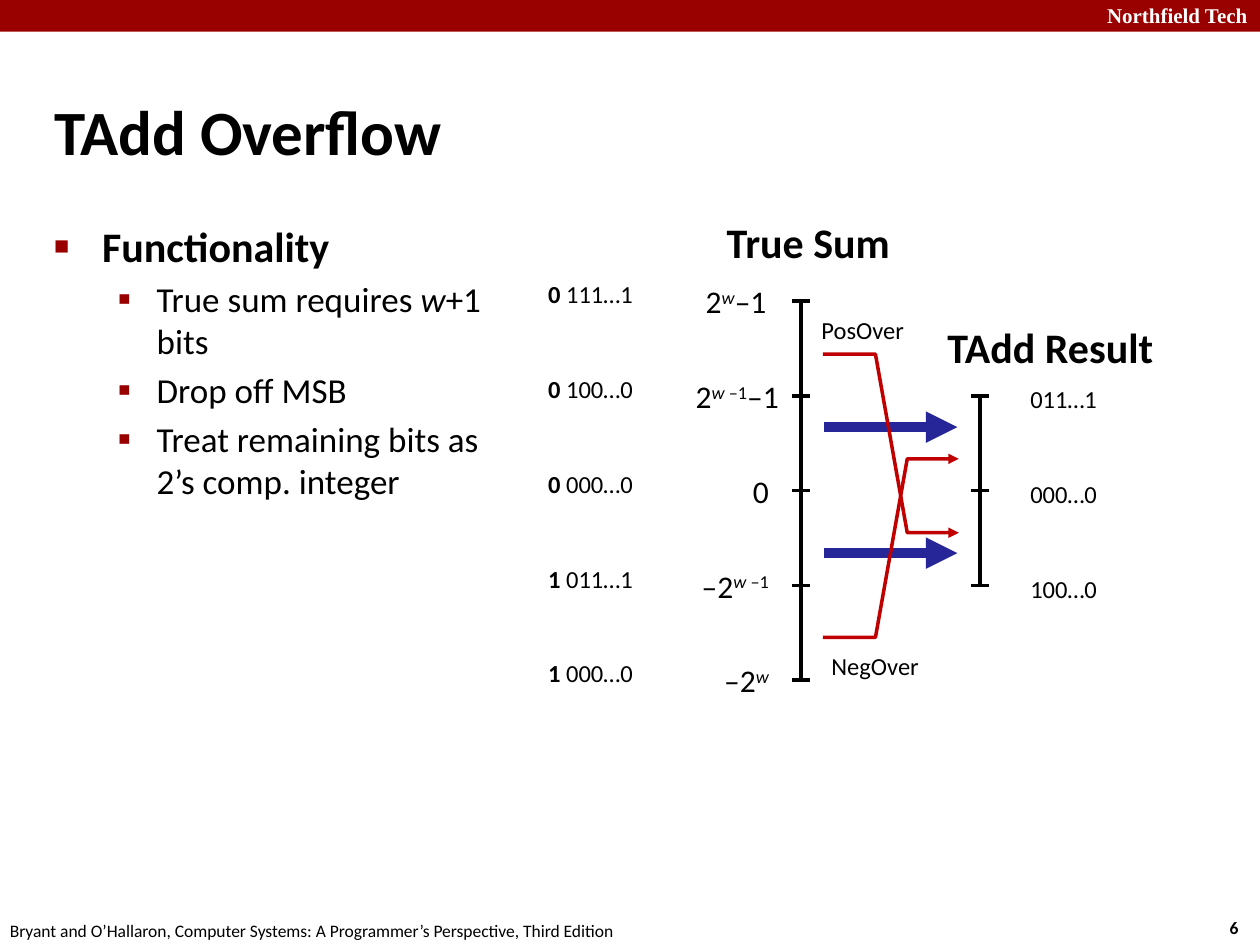
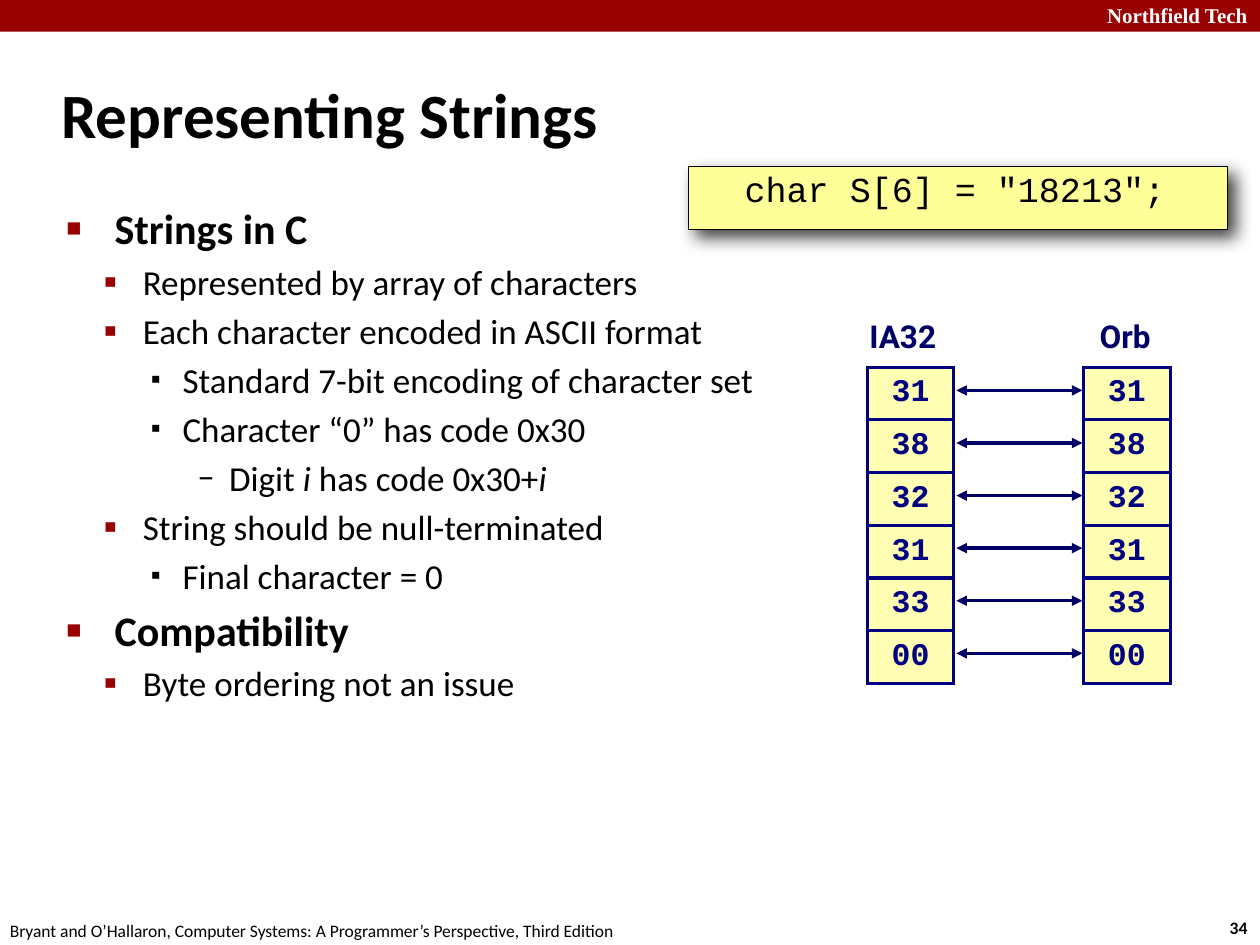
from lxml import etree
from pptx import Presentation
from pptx.dml.color import RGBColor
from pptx.enum.shapes import MSO_CONNECTOR, MSO_SHAPE
from pptx.enum.text import MSO_ANCHOR, PP_ALIGN
from pptx.oxml.ns import qn
from pptx.util import Cm, Pt

STRAIGHT = MSO_CONNECTOR.STRAIGHT
RECT = MSO_SHAPE.RECTANGLE
TOP, MIDDLE = MSO_ANCHOR.TOP, MSO_ANCHOR.MIDDLE
LEFT, CENTER, RIGHT = PP_ALIGN.LEFT, PP_ALIGN.CENTER, PP_ALIGN.RIGHT

BLACK = RGBColor(0x00, 0x00, 0x00)
WHITE = RGBColor(0xFF, 0xFF, 0xFF)
BAND_RED = RGBColor(0x99, 0x00, 0x00)
OVERFLOW_RED = RGBColor(0xC0, 0x00, 0x00)
ARROW_BLUE = RGBColor(0x26, 0x26, 0x99)
NAVY = RGBColor(0x00, 0x00, 0x66)
CELL_NAVY = RGBColor(0x00, 0x00, 0x80)
CELL_YELLOW = RGBColor(0xFF, 0xFE, 0xB2)
CODE_YELLOW = RGBColor(0xFF, 0xFF, 0x99)

BODY_FONT, CODE_FONT = "Calibri", "Courier New"
NAME_FONT, SERIF_FONT = "Roboto", "Times New Roman"
SCHOOL = "Northfield Tech"
FOOTER = ("Bryant and O’Hallaron, Computer Systems: "
          "A Programmer’s Perspective, Third Edition")

LEVELS = [
    dict(mark="■", font=SERIF_FONT, scale=60, color=BAND_RED, size=24, bold=True, hang=0.97),
    dict(mark="▪", font=SERIF_FONT, scale=110, color=BAND_RED, size=20, bold=False, hang=0.79),
    dict(mark="▪", font=SERIF_FONT, scale=80, color=BLACK, size=20, bold=False, hang=0.64),
    dict(mark="–", font=BODY_FONT, scale=100, color=BLACK, size=20, bold=False, hang=0.64),
]
OVERFLOW_MARGINS = (0.97, 2.07)
STRING_MARGINS = (0.97, 1.54, 2.34, 3.28)

OVERFLOW_BULLETS = [
    (0, [("Functionality", "")]),
    (1, [("True sum requires ", ""), ("w", "i"), ("+1 bits", "")]),
    (1, [("Drop off MSB", "")]),
    (1, [("Treat remaining bits as 2’s comp. integer", "")]),
]
STRING_BULLETS = [
    (0, [("Strings in C", "")]),
    (1, [("Represented by array of characters", "")]),
    (1, [("Each character encoded in ASCII format", "")]),
    (2, [("Standard 7-bit encoding of character set", "")]),
    (2, [("Character “0” has code 0x30", "")]),
    (3, [("Digit ", ""), ("i", "i"), (" has code 0x30+", ""), ("i", "i")]),
    (1, [("String should be null-terminated", "")]),
    (2, [("Final character = 0", "")]),
    (0, [("Compatibility", "")]),
    (1, [("Byte ordering not an issue", "")]),
]

TRUE_SUMS = [
    ("0", " 111…1", [("2", ""), ("w", "i^"), ("–1", "")], 15.7),
    ("0", " 100…0", [("2", ""), ("w ", "i^"), ("–1", "^"), ("–1", "")], 15.95),
    ("0", " 000…0", [("0", "")], 15.75),
    ("1", " 011…1", [("–2", ""), ("w ", "i^"), ("–1", "^")], 15.75),
    ("1", " 000…0", [("–2", ""), ("w", "i^")], 15.75),
]
RESULTS = ["011…1", "000…0", "100…0"]
CAPTIONS = [
    ("True Sum", 24, "b", 14.4, 4.24),
    ("TAdd Result", 24, "b", 18.85, 6.35),
    ("PosOver", 14, "", 16.31, 6.22),
    ("NegOver", 14, "", 16.51, 13.0),
]
SUM_X, RESULT_X, AXIS_TOP, TICK_GAP, HALF_TICK = 16.15, 19.76, 6.07, 1.91, 0.18
KEEP_ARROWS_Y = (8.61, 11.15)
WRAP_X = (16.59, 17.65, 18.29, 19.33)
WRAP_Y = [(7.14, 10.74), (12.85, 9.25)]

STRING_BYTES = ["31", "38", "32", "31", "33", "00"]
MACHINES = [("IA32", 18.2, 17.48), ("Orb", 22.68, 21.84)]
NAME_W, BYTES_TOP, BYTE_W, BYTE_H = 3, 7.4, 1.75, 1.06


def add_runs(p, runs, size, color=BLACK, font=BODY_FONT, bold=False):
    for text, style in runs:
        r = p.add_run()
        r.text = text
        r.font.name = font
        r.font.size = Pt(size)
        r.font.color.rgb = color
        r.font.bold = bold or "b" in style
        r.font.italic = "i" in style
        if "^" in style:
            r.font._element.set("baseline", "30000")


def add_text(s, x, y, w, h, runs, size, align=LEFT, **look):
    tf = s.shapes.add_textbox(Cm(x), Cm(y), Cm(w), Cm(h)).text_frame
    tf.word_wrap = True
    p = tf.paragraphs[0]
    p.alignment = align
    add_runs(p, runs, size, **look)
    return tf


def add_bullets(s, x, y, w, h, items, margins):
    tf = s.shapes.add_textbox(Cm(x), Cm(y), Cm(w), Cm(h)).text_frame
    tf.word_wrap = True
    for i, (level, runs) in enumerate(items):
        look = LEVELS[level]
        p = tf.add_paragraph() if i else tf.paragraphs[0]
        p.level = level
        p.space_before = Pt(look["size"] * 0.2)
        pPr = p._p.get_or_add_pPr()
        pPr.set("marL", str(Cm(margins[level])))
        pPr.set("indent", str(-Cm(look["hang"])))
        clr = etree.SubElement(pPr, qn("a:buClr"))
        etree.SubElement(clr, qn("a:srgbClr"), val=str(look["color"]))
        etree.SubElement(pPr, qn("a:buSzPct"), val=str(look["scale"] * 1000))
        etree.SubElement(pPr, qn("a:buFont"), typeface=look["font"])
        etree.SubElement(pPr, qn("a:buChar"), char=look["mark"])
        add_runs(p, runs, look["size"], bold=look["bold"])


def style_line(shape, color, width, ends=()):
    shape.line.color.rgb = color
    shape.line.width = Pt(width)
    ln = shape.line._get_or_add_ln()
    for end in ends:
        etree.SubElement(ln, qn("a:" + end), type="triangle")


def add_line(s, x1, y1, x2, y2, color=BLACK, width=2, ends=()):
    c = s.shapes.add_connector(STRAIGHT, Cm(x1), Cm(y1), Cm(x2), Cm(y2))
    style_line(c, color, width, ends)
    etree.SubElement(c._element.spPr, qn("a:effectLst"))


def add_box(s, x, y, w, h, color):
    sp = s.shapes.add_shape(RECT, Cm(x), Cm(y), Cm(w), Cm(h))
    sp.shadow.inherit = False
    sp.fill.solid()
    sp.fill.fore_color.rgb = color
    sp.line.fill.background()
    return sp


def add_slide(prs, number, title, x, y, w, h):
    s = prs.slides.add_slide(prs.slide_layouts[6])
    add_box(s, 0, 0, 25.4, 0.64, BAND_RED)
    add_text(s, 21.95, -0.08, 3.45, 0.76, [(SCHOOL, "b")], 12, RIGHT,
             color=WHITE, font=SERIF_FONT)
    add_text(s, 24.54, 18.36, 0.95, 0.69, [(number, "b")], 10)
    add_text(s, -0.05, 18.42, 13.2, 0.69, [(FOOTER, "")], 10)
    tf = add_text(s, x, y, w, h, [(title, "b")], 36)
    tf.vertical_anchor = MIDDLE
    return s


def add_axis(s, x, ticks):
    add_line(s, x, ticks[0], x, ticks[-1])
    for y in ticks:
        add_line(s, x - HALF_TICK, y, x + HALF_TICK, y)


def build_overflow(prs):
    s = add_slide(prs, "6", "TAdd Overflow", 0.84, 1.85, 18.77, 1.55)
    add_bullets(s, 0.84, 4.32, 9.19, 14.5, OVERFLOW_BULLETS, OVERFLOW_MARGINS)

    ticks = [AXIS_TOP + i * TICK_GAP for i in range(len(TRUE_SUMS))]
    add_axis(s, SUM_X, ticks)
    add_axis(s, RESULT_X, ticks[1:4])
    for y, (sign, bits, value, right) in zip(ticks, TRUE_SUMS):
        add_text(s, 10.8, y - 0.56, 2.5, 0.84, [(sign, "b"), (bits, "")], 14)
        add_text(s, right - 3, y - 0.5, 3, 1.02, value, 18, RIGHT)
    for y, bits in zip(ticks[1:], RESULTS):
        add_text(s, 20.52, y - 0.36, 2.2, 0.84, [(bits, "")], 14)

    for y in KEEP_ARROWS_Y:
        add_line(s, 16.61, y, 19.3, y, ARROW_BLUE, 6, ["tailEnd"])
    for y1, y2 in WRAP_Y:
        points = [(Cm(x), Cm(y)) for x, y in zip(WRAP_X, (y1, y1, y2, y2))]
        builder = s.shapes.build_freeform(*points[0])
        builder.add_line_segments(points[1:], close=False)
        sp = builder.convert_to_shape()
        sp.shadow.inherit = False
        sp.fill.background()
        style_line(sp, OVERFLOW_RED, 2, ["tailEnd"])
    for text, size, style, x, y in CAPTIONS:
        add_text(s, x, y, 5, size * 0.05, [(text, style)], size)


def add_code(s, code):
    sp = add_box(s, 13.87, 3.35, 10.87, 1.27, CODE_YELLOW)
    style_line(sp, BLACK, 0.5)
    shadow = etree.SubElement(
        sp._element.spPr.find(qn("a:effectLst")), qn("a:outerShdw"),
        blurRad=str(Pt(10)), dist=str(Pt(6)), dir="2700000", rotWithShape="0")
    clr = etree.SubElement(shadow, qn("a:srgbClr"), val=str(BLACK))
    etree.SubElement(clr, qn("a:alpha"), val="75000")
    tf = sp.text_frame
    tf.vertical_anchor = TOP
    tf.margin_left = tf.margin_top = tf.margin_bottom = Cm(0.08)
    tf.margin_right = Cm(0.18)
    p = tf.paragraphs[0]
    p.alignment = CENTER
    p.line_spacing = 0.95
    add_runs(p, [(code, "")], 20, font=CODE_FONT)


def add_bytes(s, x):
    table = s.shapes.add_table(
        len(STRING_BYTES), 1, Cm(x), Cm(BYTES_TOP), Cm(BYTE_W),
        Cm(BYTE_H * len(STRING_BYTES))).table
    table.first_row = table.horz_banding = False
    for i, value in enumerate(STRING_BYTES):
        table.rows[i].height = Cm(BYTE_H)
        cell = table.cell(i, 0)
        tcPr = cell._tc.get_or_add_tcPr()
        for side in ("lnL", "lnR", "lnT", "lnB"):
            ln = etree.SubElement(tcPr, qn("a:" + side), w=str(Pt(2)))
            fill = etree.SubElement(ln, qn("a:solidFill"))
            etree.SubElement(fill, qn("a:srgbClr"), val=str(CELL_NAVY))
        cell.fill.solid()
        cell.fill.fore_color.rgb = CELL_YELLOW
        cell.vertical_anchor = MIDDLE
        cell.margin_left = cell.margin_right = Cm(0.15)
        cell.margin_top = cell.margin_bottom = Cm(0.15)
        p = cell.text_frame.paragraphs[0]
        p.alignment = CENTER
        add_runs(p, [(value, "b")], 18, CELL_NAVY, CODE_FONT)


def build_strings(prs):
    s = add_slide(prs, "34", "Representing Strings", 0.99, 1.22, 21.08, 2.11)
    add_code(s, 'char S[6] = "18213";')
    add_bullets(s, 1.09, 3.96, 21.95, 13.82, STRING_BULLETS, STRING_MARGINS)
    for name, name_center, bytes_x in MACHINES:
        add_text(s, name_center - NAME_W / 2, 6.27, NAME_W, 1.07,
                 [(name, "b")], 18, CENTER, color=NAVY, font=NAME_FONT)
        add_bytes(s, bytes_x)
    for i in range(len(STRING_BYTES)):
        y = BYTES_TOP + (i + 0.5) * BYTE_H - 0.06
        add_line(s, 19.28, y, 21.82, y, NAVY, 2, ["headEnd", "tailEnd"])


def main():
    prs = Presentation()
    prs.slide_width, prs.slide_height = Cm(25.4), Cm(19.05)
    build_overflow(prs)
    build_strings(prs)
    prs.save("out.pptx")


if __name__ == "__main__":
    main()
